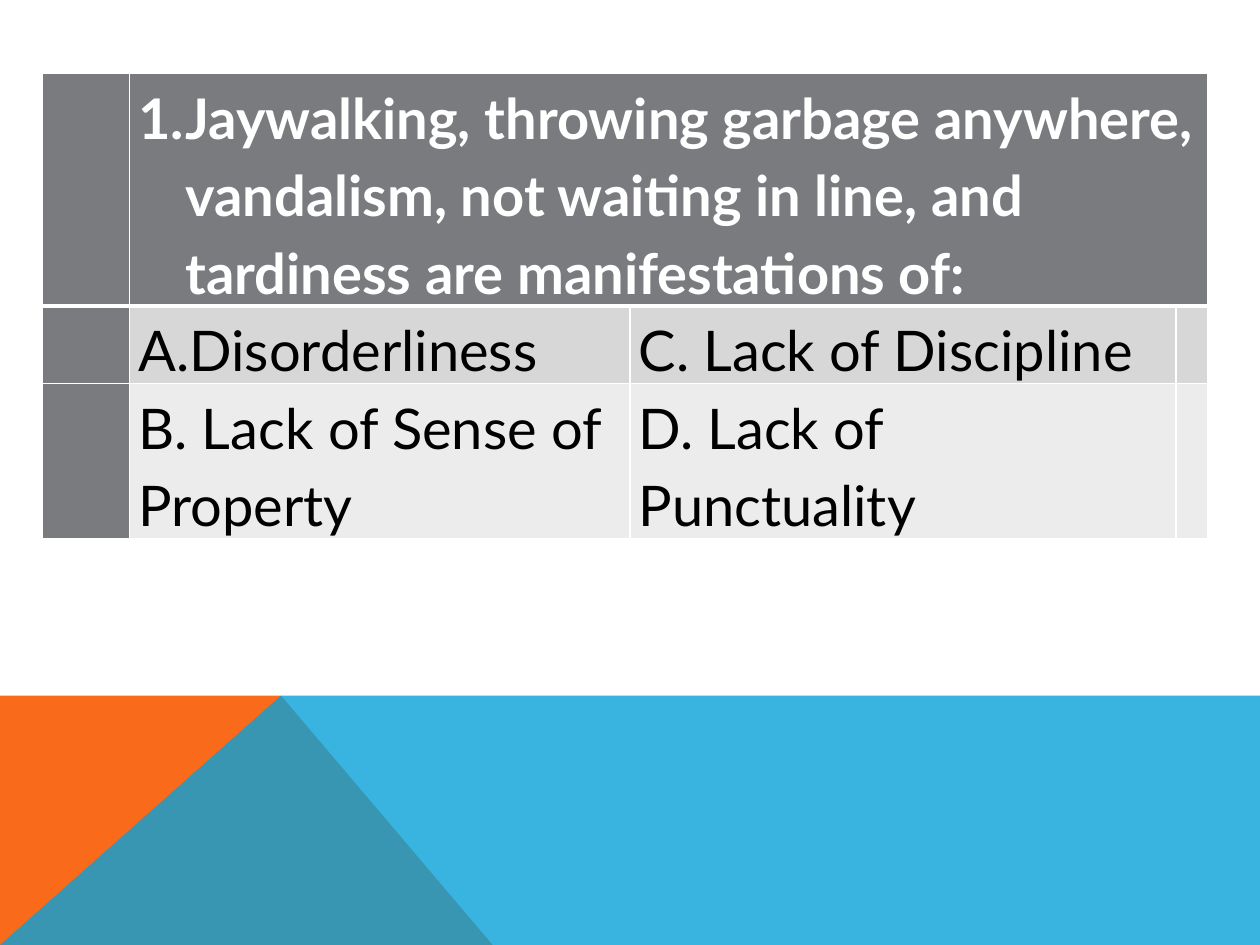
from lxml import etree
from pptx import Presentation, util as u
from pptx.dml.color import RGBColor
from pptx.oxml import ns

SLIDE_W, SLIDE_H = 720, 540
BAND_TOP, PEAK_X = 397.5, 160.6
BAND_SHAPES = [
    ([(0, SLIDE_H), (0, BAND_TOP), (PEAK_X, BAND_TOP), (281.5, SLIDE_H)], "F96A1B", 100),
    ([(0, SLIDE_H), (PEAK_X, BAND_TOP), (SLIDE_W, BAND_TOP), (SLIDE_W, SLIDE_H)], "08A1D9", 80),
]
QUESTION = ("Jaywalking, throwing garbage anywhere, vandalism, not waiting in line, "
            "and tardiness are manifestations of:")
ROWS = [
    ["", QUESTION, "", ""],
    ["", "Disorderliness", "C. Lack of Discipline", ""],
    ["", "B. Lack of Sense of Property", "D. Lack of Punctuality", ""],
]
NUMBERING = {(0, 1): "arabicPeriod", (1, 1): "alphaUcPeriod"}
ROW_FILLS = ["797B7E", "D7D7D8", "ECECEC"]
HEADER_FILL = ROW_FILLS[0]
COLUMN_WIDTHS = [50, 286, 312, 18]
ROW_HEIGHTS = [132.5, 44, 88.5]
TABLE_LEFT, TABLE_TOP = 24, 42
INDENT = 27


def paint(fill, color):
    fill.solid()
    fill.fore_color.rgb = RGBColor.from_string(color)


def add_xml(parent, tag, **attributes):
    return etree.SubElement(parent, ns.qn(tag), attributes)


def add_band_shape(slide, points, color, opacity):
    builder = slide.shapes.build_freeform(u.Pt(points[0][0]), u.Pt(points[0][1]))
    builder.add_line_segments([(u.Pt(x), u.Pt(y)) for x, y in points[1:]], close=True)
    band = builder.convert_to_shape()
    band.shadow.inherit = False
    band.line.fill.background()
    paint(band.fill, color)
    if opacity < 100:
        tint = band.fill._xPr.find(".//" + ns.qn("a:srgbClr"))
        add_xml(tint, "a:alpha", val=str(opacity * 1000))


def add_borders(cell, top, bottom):
    properties = cell._tc.get_or_add_tcPr()
    for side, width in (("L", 1), ("R", 1), ("T", top), ("B", bottom)):
        border = add_xml(properties, "a:ln" + side, w=str(u.Pt(width)))
        add_xml(add_xml(border, "a:solidFill"), "a:srgbClr", val="FFFFFF")


def write_cell(cell, wording, color, bold, numbering):
    paragraph = cell.text_frame.paragraphs[0]
    paragraph.line_spacing = 1.15
    if numbering:
        properties = paragraph._p.get_or_add_pPr()
        properties.set("marL", str(u.Pt(INDENT)))
        properties.set("indent", str(u.Pt(-INDENT)))
        add_xml(properties, "a:buAutoNum", type=numbering)
    run = paragraph.add_run()
    run.text = wording
    run.font.name = "Lato"
    run.font.size = u.Pt(32)
    run.font.bold = bold
    paint(run.font.fill, color)


def add_quiz(slide):
    quiz = slide.shapes.add_table(
        len(ROWS), len(COLUMN_WIDTHS), u.Pt(TABLE_LEFT), u.Pt(TABLE_TOP),
        u.Pt(sum(COLUMN_WIDTHS)), u.Pt(sum(ROW_HEIGHTS))).table
    quiz.first_col = True
    for column, width in zip(quiz.columns, COLUMN_WIDTHS):
        column.width = u.Pt(width)
    for row, height in zip(quiz.rows, ROW_HEIGHTS):
        row.height = u.Pt(height)
    quiz.cell(0, 1).merge(quiz.cell(0, 3))
    for r, row in enumerate(ROWS):
        for c, wording in enumerate(row):
            cell = quiz.cell(r, c)
            cell.margin_left = cell.margin_right = u.Pt(5)
            cell.margin_top = cell.margin_bottom = 0
            add_borders(cell, 3 if r == 1 else 1, 3 if r == 0 else 1)
            paint(cell.fill, HEADER_FILL if c == 0 else ROW_FILLS[r])
            if wording:
                write_cell(cell, wording, "FFFFFF" if r == 0 else "000000",
                           r == 0, NUMBERING.get((r, c)))


def main():
    deck = Presentation()
    deck.slide_width, deck.slide_height = u.Pt(SLIDE_W), u.Pt(SLIDE_H)
    slide = deck.slides.add_slide(deck.slide_layouts[6])
    for points, color, opacity in BAND_SHAPES:
        add_band_shape(slide, points, color, opacity)
    add_quiz(slide)
    deck.save("out.pptx")


if __name__ == "__main__":
    main()
